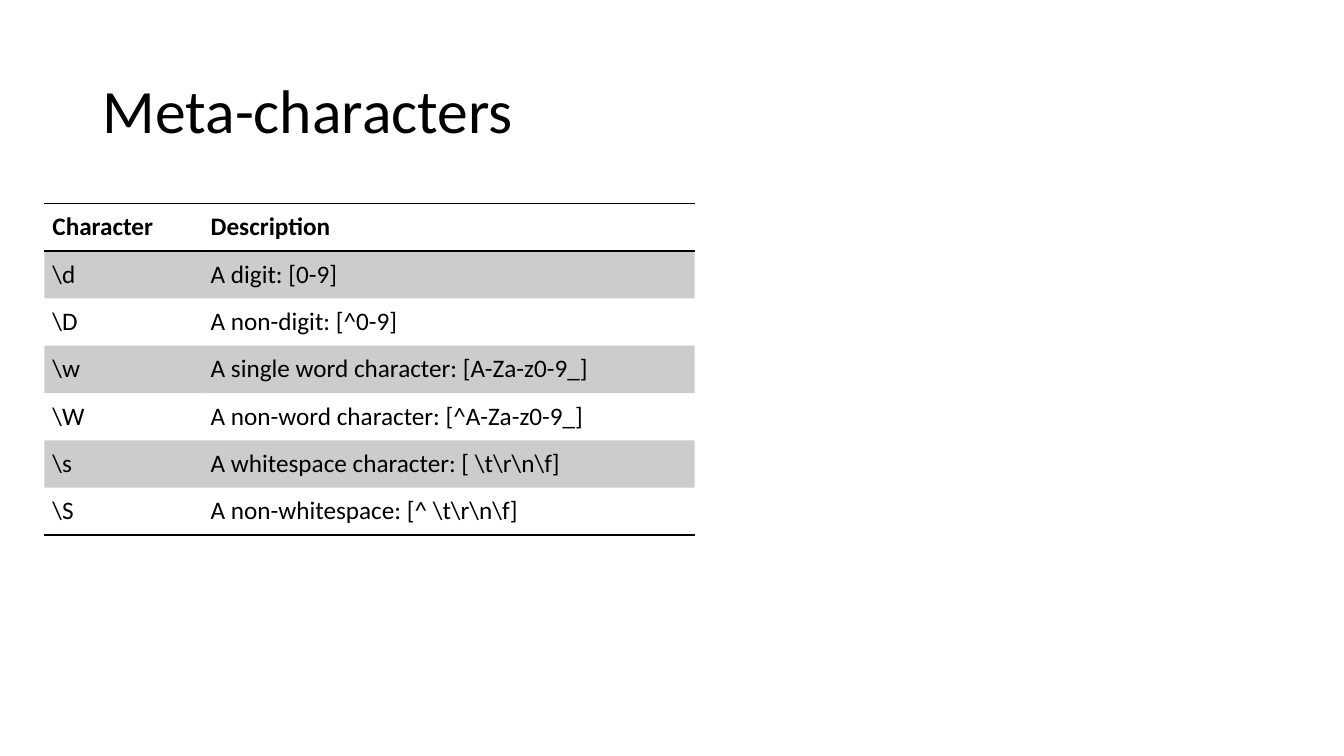
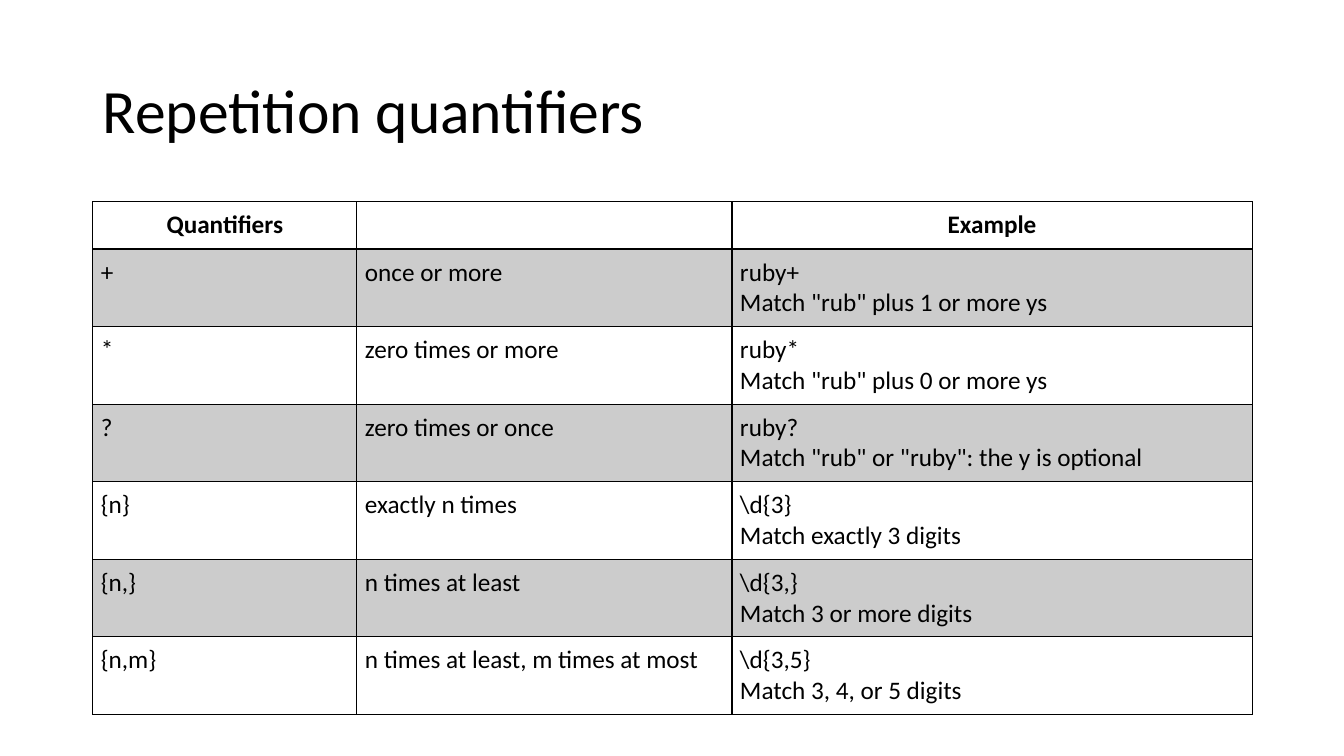
import pptx
import pptx.dml.color
import pptx.enum.text
import pptx.oxml
import pptx.oxml.ns
import pptx.util

Inches, Pt = pptx.util.Inches, pptx.util.Pt
ALIGN = pptx.enum.text.PP_ALIGN
ANCHOR = pptx.enum.text.MSO_ANCHOR

COLORS = {"ink": "000000", "page": "FFFFFF"}
FONT = "Calibri"
BAND_OPACITY = 20
NO_STYLE = "{2D5ABB26-0587-4C30-8999-92F81FD0307C}"
HEADER_HEIGHT = 0.47

SLIDES = [
    {
        "title": "Meta-characters",
        "at": (0.44, 2.02),
        "cols": (1.57, 4.88),
        "row_height": 0.47,
        "grid": False,
        "head_align": ALIGN.LEFT,
        "body_align": ALIGN.LEFT,
        "rows": [
            ("Character", "Description"),
            (r"\d", "A digit: [0-9]"),
            (r"\D", "A non-digit: [^0-9]"),
            (r"\w", "A single word character: [A-Za-z0-9_]"),
            (r"\W", "A non-word character: [^A-Za-z0-9_]"),
            (r"\s", r"A whitespace character: [ \t\r\n\f]"),
            (r"\S", r"A non-whitespace: [^ \t\r\n\f]"),
        ],
    },
    {
        "title": "Repetition quantifiers",
        "at": (0.92, 2),
        "cols": (2.62, 3.72, 5.16),
        "row_height": 0.77,
        "grid": True,
        "head_align": ALIGN.CENTER,
        "body_align": ALIGN.JUSTIFY,
        "rows": [
            ("Quantifiers", "", "Example"),
            ("+", "once or more", 'ruby+\nMatch "rub" plus 1 or more ys'),
            ("*", "zero times or more", 'ruby*\nMatch "rub" plus 0 or more ys'),
            ("?", "zero times or once",
             'ruby?\nMatch "rub" or "ruby": the y is optional'),
            ("{n}", "exactly n times", "\\d{3}\nMatch exactly 3 digits"),
            ("{n,}", "n times at least", "\\d{3,}\nMatch 3 or more digits"),
            ("{n,m}", "n times at least, m times at most",
             "\\d{3,5}\nMatch 3, 4, or 5 digits"),
        ],
    },
]


def rgb(name):
    return pptx.dml.color.RGBColor.from_string(COLORS[name])


def write(tf, text, size=18, bold=False, align=ALIGN.LEFT, spacing=None):
    """Fill a text frame, one paragraph for each line of text."""
    for i, line in enumerate(text.split("\n")):
        p = tf.add_paragraph() if i else tf.paragraphs[0]
        p.alignment = align
        p.line_spacing = spacing
        p.font.size = Pt(size)
        r = p.add_run()
        r.text = line
        r.font.name, r.font.size, r.font.bold = FONT, Pt(size), bold
        r.font.color.rgb = rgb("ink")


def set_borders(cell, sides):
    """Draw 1 pt rules on the given sides, named by L, R, T and B."""
    tc_pr = cell._tc.get_or_add_tcPr()
    for side in "LRTB":
        if side in sides:
            tc_pr.append(pptx.oxml.parse_xml(
                f'<a:ln{side} {pptx.oxml.ns.nsdecls("a")} w="{Pt(1)}"><a:solidFill>'
                f'<a:srgbClr val="{COLORS["ink"]}"/></a:solidFill></a:ln{side}>'))


def set_fill(cell, banded):
    if not banded:
        cell.fill.background()
        return
    cell.fill.solid()
    cell.fill.fore_color.rgb = rgb("ink")
    color = cell._tc.tcPr.find(".//" + pptx.oxml.ns.qn("a:solidFill") + "[last()]/..")
    color = cell._tc.tcPr.findall(pptx.oxml.ns.qn("a:solidFill"))[0][0]
    color.append(pptx.oxml.parse_xml(
        f'<a:alpha {pptx.oxml.ns.nsdecls("a")} val="{BAND_OPACITY * 1000}"/>'))


def add_title(slide, text):
    box = slide.shapes.add_textbox(Inches(0.92), Inches(0.4), Inches(11.5), Inches(1.45))
    tf = box.text_frame
    tf.word_wrap = True
    tf.vertical_anchor = ANCHOR.MIDDLE
    write(tf, text, size=44, spacing=0.9)


def add_table(slide, spec_data):
    rows, cols = spec_data["rows"], spec_data["cols"]
    heights = [HEADER_HEIGHT] + [spec_data["row_height"]] * (len(rows) - 1)
    left, top = spec_data["at"]
    table = slide.shapes.add_table(
        len(rows), len(cols), Inches(left), Inches(top),
        Inches(sum(cols)), Inches(sum(heights))).table
    table._tbl.tblPr.find(pptx.oxml.ns.qn("a:tableStyleId")).text = NO_STYLE
    for column, width in zip(table.columns, cols):
        column.width = Inches(width)
    for i, (row, height) in enumerate(zip(rows, heights)):
        table.rows[i].height = Inches(height)
        header = i == 0
        if spec_data["grid"]:
            sides = "LRTB"
        else:
            sides = "TB" if header else "B" if i == len(rows) - 1 else ""
        for j, text in enumerate(row):
            cell = table.cell(i, j)
            cell.margin_left = cell.margin_right = Inches(0.08)
            cell.margin_top = cell.margin_bottom = Inches(0.08)
            align = spec_data["head_align" if header else "body_align"]
            write(cell.text_frame, text, bold=header, align=align)
            set_borders(cell, sides)
            set_fill(cell, banded=i % 2 == 1)


def main():
    prs = pptx.Presentation()
    prs.slide_width, prs.slide_height = Inches(13.33), Inches(7.5)
    for content in SLIDES:
        slide = prs.slides.add_slide(prs.slide_layouts[6])
        slide.background.fill.solid()
        slide.background.fill.fore_color.rgb = rgb("page")
        add_title(slide, content["title"])
        add_table(slide, content)
    prs.save("out.pptx")


if __name__ == "__main__":
    main()
